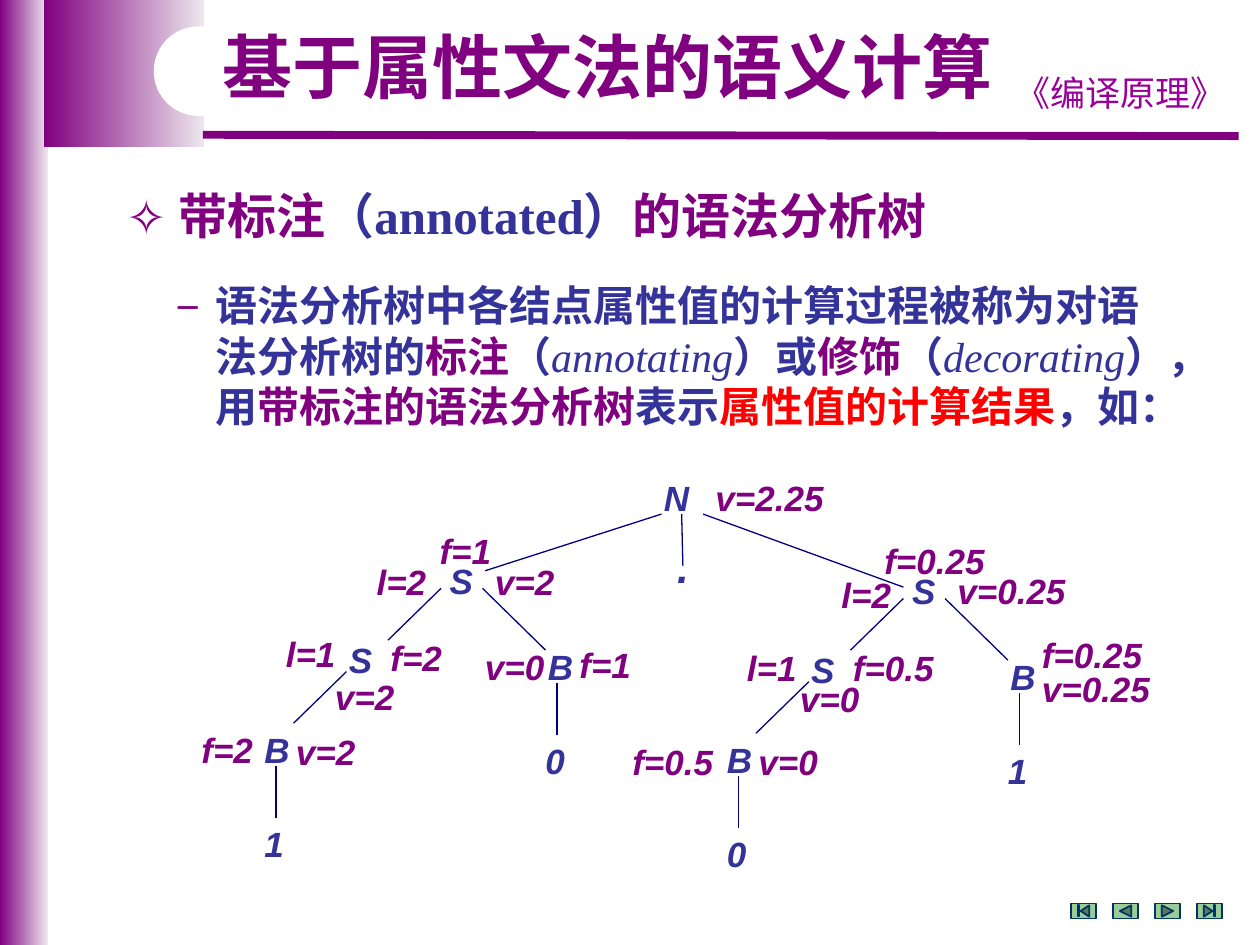
from dataclasses import dataclass

from lxml.etree import SubElement
from pptx import Presentation
from pptx.dml.color import RGBColor as RGB
from pptx.enum.shapes import MSO_CONNECTOR as Connector, MSO_SHAPE as Shape
from pptx.enum.text import PP_ALIGN as Align
from pptx.oxml.ns import qn
from pptx.util import Inches, Pt


@dataclass(frozen=True)
class Theme:
    """Colours, fonts and type sizes of the slide."""
    purple: str = "800080"
    pale: str = "EDE7ED"
    magenta: str = "990099"
    blue: str = "333399"
    navy: str = "000080"
    red: str = "FF0000"
    green: str = "99CC99"
    dark: str = "003366"
    white: str = "FFFFFF"
    sans: str = "Arial"
    serif: str = "Times New Roman"
    chinese: str = "Noto Sans CJK SC"
    course: str = "Comic Neue"
    title: int = 40
    heading: int = 28
    body: int = 24
    label: int = 20


THEME = Theme()


def add_runs(paragraph, runs, **formats):
    """Add (text, colour, own formats) runs that share the given formats."""
    for text, color, own in runs:
        run = paragraph.add_run()
        run.text = text
        for name, value in {**formats, **own}.items():
            setattr(run.font, name, value)
        run.font.color.rgb = RGB.from_string(color)
        SubElement(run.font._element, qn("a:ea"), typeface=THEME.chinese)


def add_box(slide, left, top, width, height):
    """Add a wrapping text box and return its text frame."""
    box = slide.shapes.add_textbox(*map(Inches, (left, top, width, height)))
    box.text_frame.word_wrap = True
    return box.text_frame


def add_text(slide, box, text, color, align=Align.LEFT, spacing=None, **formats):
    """Add a text box with one run."""
    paragraph = add_box(slide, *box).paragraphs[0]
    paragraph.alignment = align
    paragraph.line_spacing = spacing
    add_runs(paragraph, [(text, color, {})], **formats)


def set_indent(paragraph, margin, indent, bullet=None):
    """Set the indents of a paragraph and its bullet, if any."""
    properties = paragraph._p.get_or_add_pPr()
    properties.set("marL", str(Inches(margin)))
    properties.set("indent", str(Inches(indent)))
    if bullet:
        color = SubElement(properties, qn("a:buClr"))
        SubElement(color, qn("a:srgbClr"), val=THEME.purple)
        SubElement(properties, qn("a:buFont"), typeface=THEME.chinese)
        SubElement(properties, qn("a:buChar"), char=bullet)


def add_line(slide, start, end, color, width):
    """Add a straight line without a shadow."""
    line = slide.shapes.add_connector(Connector.STRAIGHT, *map(Inches, (*start, *end)))
    line.line.color.rgb = RGB.from_string(color)
    line.line.width = Pt(width)
    SubElement(line._element.spPr, qn("a:effectLst"))


def add_preset(slide, kind, box, fill, outline=None):
    """Add a filled shape; a pair of fill colours makes a gradient."""
    shape = slide.shapes.add_shape(kind, *map(Inches, box))
    shape.shadow.inherit = False
    if isinstance(fill, tuple):
        shape.fill.gradient()
        shape.fill.gradient_angle = 0
        for stop, color in zip(shape.fill.gradient_stops, fill):
            stop.color.rgb = RGB.from_string(color)
    else:
        shape.fill.solid()
        shape.fill.fore_color.rgb = RGB.from_string(fill)
    if outline:
        shape.line.color.rgb = RGB.from_string(outline)
        shape.line.width = Pt(1)
    else:
        shape.line.fill.background()
    return shape


def add_frame(slide, width, height):
    """Draw the side band, the header block, the rule and the title."""
    gradient = (THEME.purple, THEME.pale)
    add_preset(slide, Shape.RECTANGLE, (0, 0, 0.38, height), gradient)
    add_preset(slide, Shape.RECTANGLE, (0.35, 0, 1.27, 1.17), gradient)
    add_line(slide, (1.61, 1.07), (width - 0.17, 1.08), THEME.purple, 4.5)
    add_text(slide, (7.91, 0.52, 1.97, 0.43), "《编译原理》", THEME.magenta,
             Align.CENTER, size=Pt(THEME.label), name=THEME.course)
    notch = add_preset(slide, Shape.ROUNDED_RECTANGLE, (1.22, 0.21, 3.62, 0.71), THEME.white)
    notch.adjustments[0] = 0.5
    add_text(slide, (1.67, 0.21, 6.39, 0.7), "基于属性文法的语义计算", THEME.purple,
             spacing=0.9, size=Pt(THEME.title), name=THEME.sans, bold=True)


def add_heading(slide, box):
    """Write the bulleted heading."""
    paragraph = add_box(slide, *box).paragraphs[0]
    set_indent(paragraph, 0.42, -0.42, "✧")
    paragraph.line_spacing = Pt(THEME.heading * 1.2)
    chinese = {"name": THEME.chinese}
    add_runs(paragraph, [("带标注", THEME.purple, chinese), ("（annotated）", THEME.blue, {}),
                         ("的语法分析树", THEME.purple, chinese)],
             size=Pt(THEME.heading), name=THEME.serif, bold=True)


def add_body(slide, box):
    """Write the explanation below the heading."""
    blue, purple = THEME.blue, THEME.purple
    term = {"bold": False, "italic": True}
    lines = [
        [("语法分析树中各结点属性值的计算过程被称为对语", blue, {})],
        [("法分析树的", blue, {}), ("标注", purple, {}), ("（", blue, {}),
         ("annotating", blue, term), ("）或", blue, {}), ("修饰", purple, {}),
         ("（", blue, {}), ("decorating", blue, term), ("），", blue, {})],
        [("用", blue, {}), ("带标注的语法分析树", purple, {}), ("表示", blue, {}),
         ("属性值的计算结果", THEME.red, {}), ("，如：", blue, {})],
    ]
    frame = add_box(slide, *box)
    for index, runs in enumerate(lines):
        paragraph = frame.add_paragraph() if index else frame.paragraphs[0]
        set_indent(paragraph, *((0, 0.31) if index else (0.31, -0.31, "−")))
        paragraph.line_spacing = Pt(THEME.body * 1.2)
        add_runs(paragraph, runs, size=Pt(THEME.body), name=THEME.serif, bold=True)


def add_label(slide, left, top, width, text, color, size=THEME.label, align=Align.LEFT):
    """Add a tree label in bold italics."""
    add_text(slide, (left, top, width, 0.43), text, color, align,
             size=Pt(size), name=THEME.sans, bold=True, italic=True)


def add_subtree(slide, left, top, leaves, attributes):
    """Draw one S subtree with its two leaves and attribute values."""
    edges = [((2.83, 1.01), (2.33, 0.52)), ((1.58, 0.93), (2, 0.52)),
             ((0.83, 1.59), (1.25, 1.18)), ((2.92, 1.68), (2.92, 1.27)),
             ((0.69, 2.34), (0.69, 1.93))]
    for edge in edges:
        start, end = [(left + x, top + y) for x, y in edge]
        add_line(slide, start, end, THEME.navy, 0.75)
    nodes = [("S", 1.97, 0.24), ("S", 1.17, 0.87), ("B", 2.75, 0.92), ("B", 0.5, 1.58),
             (leaves[0], 0.5, 2.33), (leaves[1], 2.73, 1.67)]
    for text, x, y in nodes:
        add_label(slide, left + x, top + y, 0.4, text, THEME.blue)
    for text, x, y, width in attributes:
        add_label(slide, left + x, top + y, width, text, THEME.purple)


def add_tree(slide):
    """Draw the root, its branches and both subtrees."""
    for start, end in [((7.17, 4.66), (5.58, 4.08)), ((3.85, 4.53), (5.25, 4.08)),
                       ((5.42, 4.49), (5.41, 4.08))]:
        add_line(slide, start, end, THEME.navy, 0.75)
    add_label(slide, 5.17, 3.73, 0.5, "N", THEME.blue)
    add_label(slide, 5.58, 3.73, 1.25, "v=2.25", THEME.purple)
    add_label(slide, 5.25, 4.25, 0.34, ".", THEME.blue, THEME.body, Align.CENTER)
    add_subtree(slide, 1.5, 4.15, "10", [
        ("f=1", 1.89, 0, 0.69), ("l=2", 1.39, 0.25, 0.69), ("v=2", 2.33, 0.25, 0.83),
        ("l=1", 0.67, 0.82, 0.61), ("f=2", 1.5, 0.85, 0.67), ("v=2", 1.06, 1.16, 0.69),
        ("f=2", 0, 1.58, 0.67), ("v=2", 0.75, 1.6, 0.75),
        ("v=0", 2.25, 0.92, 0.75), ("f=1", 3, 0.91, 0.67)])
    add_subtree(slide, 5.17, 4.23, "01", [
        ("f=0.25", 1.75, 0, 1.08), ("l=2", 1.41, 0.27, 0.67), ("v=0.25", 2.33, 0.24, 1.08),
        ("l=1", 0.66, 0.85, 0.67), ("f=0.5", 1.5, 0.85, 0.92), ("v=0", 1.08, 1.1, 0.75),
        ("f=0.5", -0.25, 1.6, 1), ("v=0", 0.75, 1.6, 0.75),
        ("f=0.25", 3, 0.75, 1.08), ("v=0.25", 3, 1.02, 1.08)])


def add_navigation(slide, left, top):
    """Draw the row of navigation buttons."""
    kinds = [Shape.ACTION_BUTTON_BEGINNING, Shape.ACTION_BUTTON_BACK_OR_PREVIOUS,
             Shape.ACTION_BUTTON_FORWARD_OR_NEXT, Shape.ACTION_BUTTON_END]
    for index, kind in enumerate(kinds):
        add_preset(slide, kind, (left + index / 3, top, 0.2, 0.12), THEME.green, THEME.dark)


def main():
    """Build the slide and save it."""
    presentation = Presentation()
    presentation.slide_width, presentation.slide_height = Inches(10), Inches(7.5)
    slide = presentation.slides.add_slide(presentation.slide_layouts[6])
    add_frame(slide, 10, 7.5)
    add_body(slide, (1.3, 2.17, 8.45, 1.31))
    add_navigation(slide, 8.5, 7.17)
    add_heading(slide, (0.9, 1.42, 8.74, 0.57))
    add_tree(slide)
    presentation.save("out.pptx")


if __name__ == "__main__":
    main()
